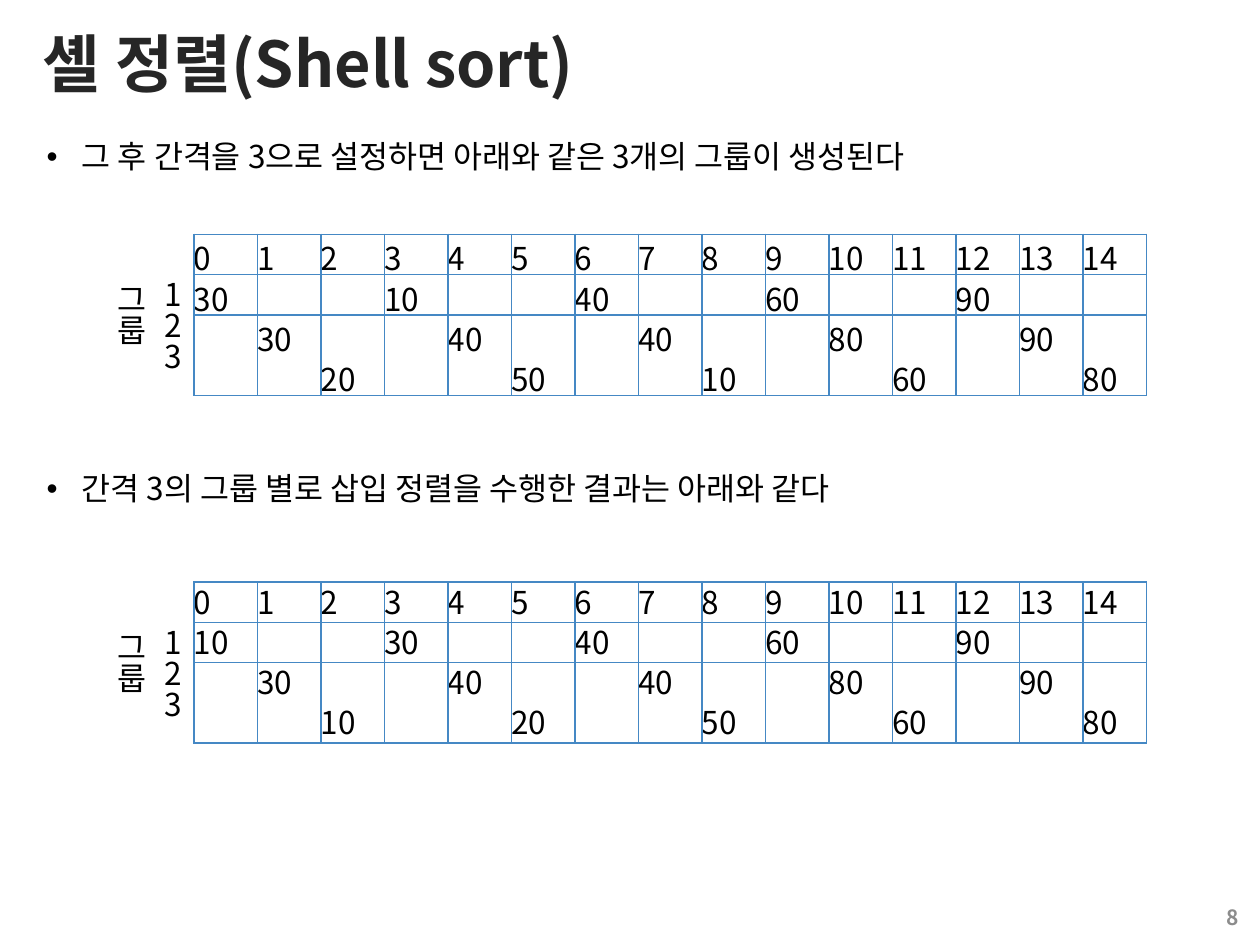
from dataclasses import dataclass

from lxml import etree
from pptx import Presentation
from pptx.dml.color import RGBColor
from pptx.enum.text import MSO_ANCHOR, MSO_AUTO_SIZE, PP_ALIGN
from pptx.oxml.ns import qn
from pptx.util import Pt

LEFT, RIGHT = PP_ALIGN.LEFT, PP_ALIGN.RIGHT
TOP, MIDDLE = MSO_ANCHOR.TOP, MSO_ANCHOR.MIDDLE
NO_AUTOFIT = MSO_AUTO_SIZE.NONE
PLAIN_TABLE_STYLE = "{2D5ABB26-0587-4C30-8999-92F81FD0307C}"


@dataclass(frozen=True)
class Theme:
    font: str = "Noto Sans CJK KR"
    title_color: str = "262626"
    text_color: str = "000000"
    number_color: str = "8C8C8C"
    grid_color: str = "4588C4"
    title_size: int = 36
    text_size: int = 18
    number_size: int = 12
    grid_width: int = 1


THEME = Theme()
GAP = 3
COLUMN_COUNT = 15
COLUMN_WIDTH, ROW_HEIGHT = 36.29, 23
NO_MARGINS = dict.fromkeys(
    ("margin_left", "margin_top", "margin_right", "margin_bottom"), 0)
BEFORE_SORT = [30, 30, 20, 10, 40, 50, 40, 40, 10, 60, 80, 60, 90, 90, 80]
AFTER_SORT = [10, 30, 10, 30, 40, 20, 40, 40, 50, 60, 80, 60, 90, 90, 80]


def apply(target, **values):
    for name, value in values.items():
        setattr(target, name, value)


def place(shape, box):
    names = ("left", "top", "width", "height")
    apply(shape, **{name: Pt(length) for name, length in zip(names, box)})


def write(paragraph, text, size=THEME.text_size, color=THEME.text_color,
          bold=False, **layout):
    apply(paragraph, **layout)
    run = paragraph.add_run()
    run.text = text
    apply(run.font, name=THEME.font, size=Pt(size), bold=bold)
    run.font.color.rgb = RGBColor.from_string(color)
    east_asian = etree.Element(qn("a:ea"), typeface=THEME.font)
    run.font._element.find(qn("a:latin")).addnext(east_asian)


def add_lines(frame, lines, **layout):
    for index, line in enumerate(lines):
        paragraph = frame.add_paragraph() if index else frame.paragraphs[0]
        write(paragraph, line, **layout)


def add_title(slide, box, text):
    title = slide.shapes.title
    place(title, box)
    apply(title.text_frame, auto_size=NO_AUTOFIT, vertical_anchor=MIDDLE)
    write(title.text_frame.paragraphs[0], text, THEME.title_size,
          THEME.title_color, True, alignment=LEFT)


def add_statements(slide, box, statements, pitch):
    """Fill the body list, one bullet every pitch points."""
    body = slide.placeholders[1]
    place(body, box)
    apply(body.text_frame, auto_size=NO_AUTOFIT, vertical_anchor=TOP)
    add_lines(body.text_frame, statements, line_spacing=0.9,
              space_before=Pt(GAP), space_after=Pt(GAP))
    for paragraph in body.text_frame.paragraphs:
        properties = paragraph._p.get_or_add_pPr()
        properties.set("marL", str(Pt(20.25)))
        properties.set("indent", str(-Pt(20.25)))
    line_height = 23.4
    for paragraph in body.text_frame.paragraphs[1:]:
        paragraph.space_before = Pt(pitch - line_height - GAP)


def add_page_number(slide, box, number):
    page = slide.shapes.add_textbox(*map(Pt, box))
    apply(page.text_frame, word_wrap=True, vertical_anchor=MIDDLE)
    write(page.text_frame.paragraphs[0], number, THEME.number_size,
          THEME.number_color, True, alignment=RIGHT)


def draw_borders(cell, sides):
    properties = cell._tc.get_or_add_tcPr()
    for side in sides:
        line = etree.SubElement(properties, qn(f"a:ln{side}"),
                                w=str(Pt(THEME.grid_width)))
        fill = etree.SubElement(line, qn("a:solidFill"))
        etree.SubElement(fill, qn("a:srgbClr"), val=THEME.grid_color)


def add_group_table(slide, left, top, values, gap, line_spacing):
    """Show indices above the values, each value in the row of its group."""
    row_count = gap + 1
    frame = slide.shapes.add_table(
        row_count, COLUMN_COUNT, Pt(left), Pt(top),
        Pt(COLUMN_WIDTH * COLUMN_COUNT), Pt(ROW_HEIGHT * row_count))
    table = frame.table
    apply(table, first_row=False, horz_banding=False)
    table._tbl.tblPr.find(qn("a:tableStyleId")).text = PLAIN_TABLE_STYLE
    for column in table.columns:
        column.width = Pt(COLUMN_WIDTH)
    sides = {0: "LRTB", 1: "LRT", gap: "LRB"}
    for row in range(row_count):
        table.rows[row].height = Pt(ROW_HEIGHT)
        for index, value in enumerate(values):
            cell = table.cell(row, index)
            apply(cell, vertical_anchor=MIDDLE, **NO_MARGINS)
            draw_borders(cell, sides.get(row, "LR"))
            cell.fill.background()
            if row in (0, index % gap + 1):
                write(cell.text_frame.paragraphs[0],
                      str(value if row else index), line_spacing=line_spacing)


def add_label(slide, box, lines):
    label = slide.shapes.add_textbox(*map(Pt, box))
    apply(label.text_frame, word_wrap=False, margin_top=Pt(5.4))
    add_lines(label.text_frame, lines, line_spacing=0.82)


def add_groups(slide, left, top, values, line_spacing):
    """Place a table of groups with its row labels on the left."""
    add_group_table(slide, left + 51, top, values, GAP, line_spacing)
    add_label(slide, (left, top + 24.5, 32.4, 51), "그룹")
    add_label(slide, (left + 27.3, top + 21.6, 25.2, 72.7), "123")


def main():
    deck = Presentation()
    apply(deck, slide_width=Pt(720), slide_height=Pt(540))
    slide = deck.slides.add_slide(deck.slide_layouts[1])
    add_statements(slide, (19.4, 77, 681, 438.5), [
        "그 후 간격을 3으로 설정하면 아래와 같은 3개의 그룹이 생성된다",
        "간격 3의 그룹 별로 삽입 정렬을 수행한 결과는 아래와 같다",
    ], pitch=193.7)
    add_title(slide, (17.3, 0.7, 684.7, 69.8), "셸 정렬(Shell sort)")
    add_page_number(slide, (547.2, 509.8, 167.8, 28.8), "8")
    add_groups(slide, 59.8, 133.9, BEFORE_SORT, line_spacing=1.0)
    add_groups(slide, 59.8, 332.6, AFTER_SORT, line_spacing=0.88)
    deck.save("out.pptx")


if __name__ == "__main__":
    main()
